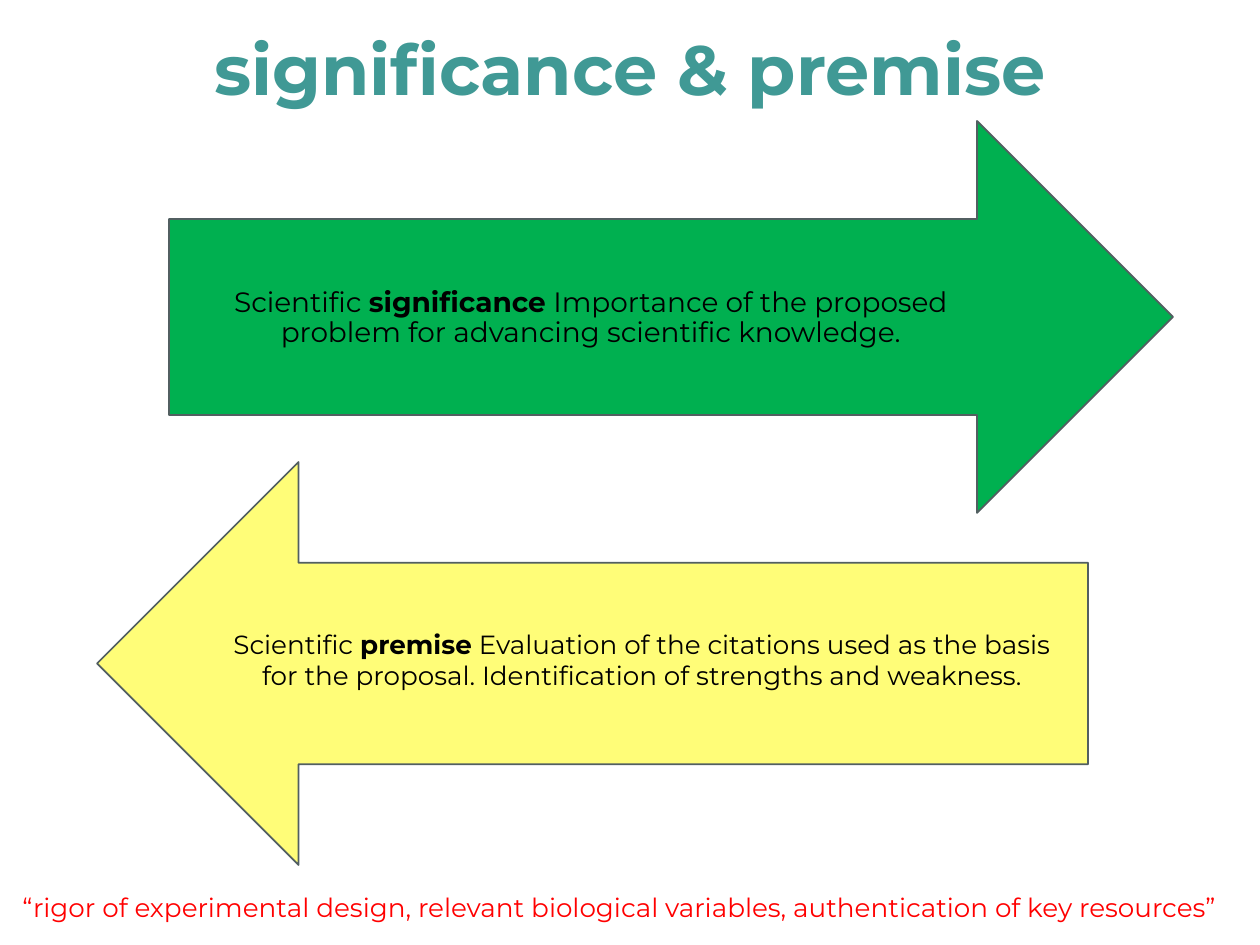
from pptx import Presentation
from pptx.dml.color import RGBColor
from pptx.enum.shapes import MSO_SHAPE
from pptx.enum.text import MSO_ANCHOR, PP_ALIGN
from pptx.util import Pt

PX = 914400 / 126
FONT = "Montserrat"


def px(*lengths):
    """Turn pixel lengths into EMU."""
    return [round(length * PX) for length in lengths]


def color(hex_value):
    return RGBColor.from_string(hex_value)


def add_arrow(page, bounds, fill, rotation=0):
    arrow = page.shapes.add_shape(MSO_SHAPE.RIGHT_ARROW, *px(*bounds))
    arrow.rotation = rotation
    arrow.shadow.inherit = False
    arrow.fill.solid()
    arrow.fill.fore_color.rgb = color(fill)
    arrow.line.color.rgb = color("525F61")
    arrow.line.width = Pt(1)


def add_text(page, bounds, spans, size, ink="000000", frame_format=None, para_format=None):
    """Add a one-paragraph text box; spans are (text, bold) pairs."""
    frame = page.shapes.add_textbox(*px(*bounds)).text_frame
    for name, value in {"word_wrap": True, **(frame_format or {})}.items():
        setattr(frame, name, value)
    para = frame.paragraphs[0]
    for name, value in (para_format or {}).items():
        setattr(para, name, value)
    for text, bold in spans:
        span = para.add_run()
        span.text = text
        for name, value in {"name": FONT, "size": Pt(size), "bold": bold}.items():
            setattr(span.font, name, value)
        span.font.color.rgb = color(ink)


def main():
    deck = Presentation()
    deck.slide_width, deck.slide_height = px(1260, 945)
    page = deck.slides.add_slide(deck.slide_layouts[6])
    centered = {"alignment": PP_ALIGN.CENTER}
    tight = {**centered, "line_spacing": 0.9}

    add_arrow(page, (169, 121, 1004, 392), "00B050")
    add_text(page, (212, 282, 758, 89), [
        ("Scientific ", False),
        ("significance", True),
        (" Importance of the proposed problem for advancing scientific knowledge.", False),
    ], 16, para_format=tight)

    add_arrow(page, (97, 462, 991, 403), "FFFD78", rotation=180)
    add_text(page, (205, 622, 874, 77), [
        ("Scientific ", False),
        ("premise", True),
        (" Evaluation of the citations used as the basis for the proposal. "
         "Identification of strengths and weakness.", False),
    ], 15, para_format=centered)

    add_text(page, (10, 885, 1250, 44), [
        ("“rigor of experimental design, relevant biological variables, "
         "authentication of key resources”", False),
    ], 15, "FF0000", {"word_wrap": False})
    add_text(page, (0, 24, 1260, 98), [("significance & premise", True)], 40, "409995",
             {"vertical_anchor": MSO_ANCHOR.MIDDLE}, tight)

    deck.save("out.pptx")


if __name__ == "__main__":
    main()
